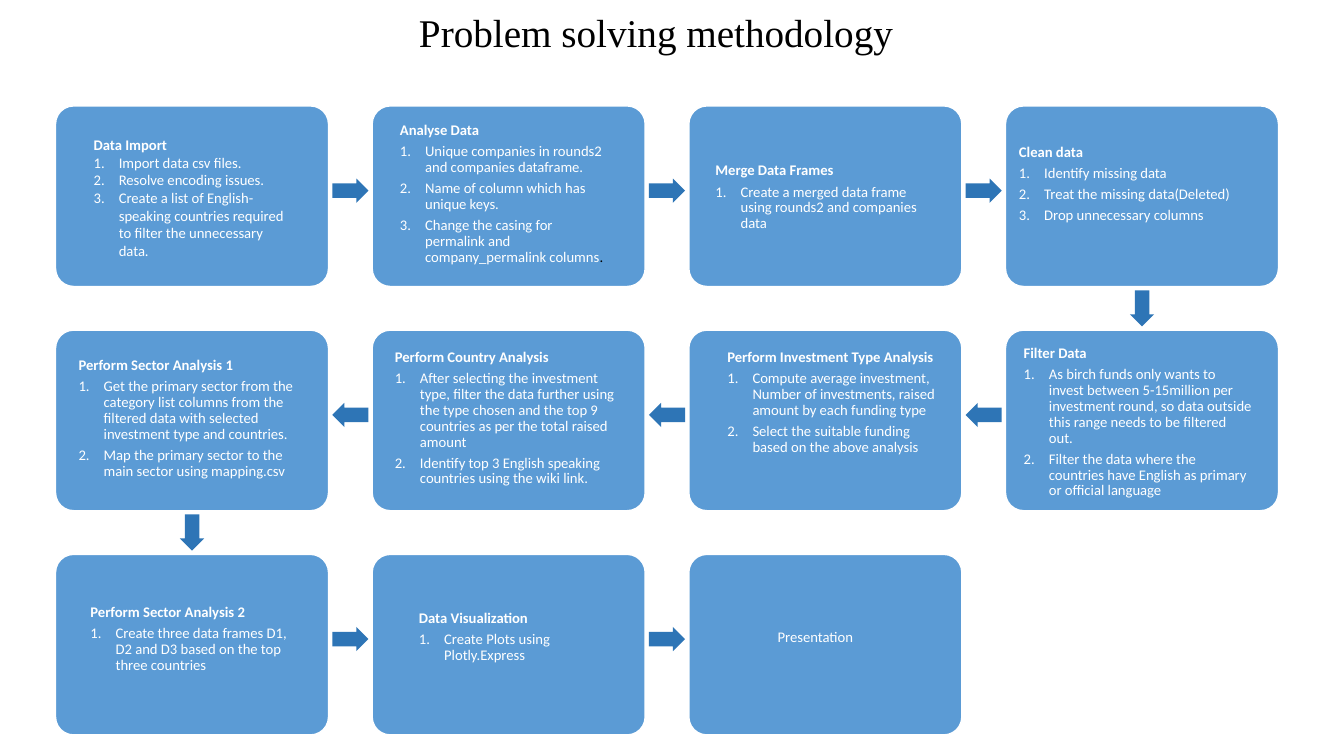
from itertools import pairwise

from lxml.etree import SubElement
from pptx import Presentation
from pptx.dml.color import RGBColor
from pptx.enum.shapes import MSO_SHAPE
from pptx.enum.text import MSO_ANCHOR, MSO_AUTO_SIZE
from pptx.oxml.ns import qn
from pptx.util import Cm, Pt

BLACK = RGBColor(0x00, 0x00, 0x00)
WHITE = RGBColor(0xFF, 0xFF, 0xFF)
STEP_BLUE = RGBColor(0x5B, 0x9B, 0xD5)
ARROW_BLUE = RGBColor(0x2E, 0x75, 0xB6)

# Grid of step boxes, in cm
GRID_LEFT, GRID_TOP = 1.4, 2.67
COLUMN_PITCH, ROW_PITCH = 7.98, 5.65
STEP_WIDTH, STEP_HEIGHT = 6.88, 4.55
ARROW_LENGTH, ARROW_WIDTH = 0.91, 0.61
ARROW_LIFT = 0.14  # horizontal arrows sit slightly above the row centre

# Route through the grid as (column, row)
ROUTE = [(0, 0), (1, 0), (2, 0), (3, 0),
         (3, 1), (2, 1), (1, 1), (0, 1),
         (0, 2), (1, 2), (2, 2)]

# Each step: (left, top, width, height) in cm, heading, numbered points
STEPS = [
    ((2.11, 3.3, 5.61, 3.4), "Data Import", [
        "Import data csv files.",
        "Resolve encoding issues.",
        "Create a list of English-speaking countries required to filter the unnecessary data."]),
    ((9.83, 2.97, 5.77, 4.57), "Analyse Data", [
        "Unique companies in rounds2 and companies dataframe.",
        "Name of column which has unique keys.",
        "Change the casing for permalink and company_permalink columns"]),
    ((17.78, 3.99, 5.77, 2.03), "Merge Data Frames", [
        "Create a merged data frame using rounds2 and companies data"]),
    ((25.43, 3.53, 6.5, 2.9), "Clean data", [
        "Identify missing data",
        "Treat the missing data(Deleted)",
        "Drop unnecessary columns"]),
    ((25.55, 8.59, 6.27, 4.78), "Filter Data", [
        "As birch funds only wants to invest between 5-15million per investment round, "
        "so data outside this range needs to be filtered out.",
        "Filter the data where the countries have English as primary or official language"]),
    ((18.08, 8.69, 5.77, 3.81), "Perform Investment Type Analysis", [
        "Compute average investment, Number of investments, raised amount by each funding type",
        "Select the suitable funding based on the above analysis"]),
    ((9.7, 8.69, 6.07, 3.81), "Perform Country Analysis", [
        "After selecting the investment type, filter the data further using the type chosen "
        "and the top 9 countries as per the total raised amount",
        "Identify top 3 English speaking countries using the wiki link."]),
    ((1.73, 8.89, 6.07, 3.4), "Perform Sector Analysis 1", [
        "Get the primary sector from the category list columns from the filtered data "
        "with selected investment type and countries.",
        "Map the primary sector to the main sector using mapping.csv"]),
    ((2.03, 15.11, 5.77, 2.03), "Perform Sector Analysis 2", [
        "Create three data frames D1, D2 and D3 based on the top three countries"]),
    ((10.31, 15.27, 5.77, 1.63), "Data Visualization", [
        "Create Plots using Plotly.Express"]),
    ((19.35, 15.75, 2.62, 0.66), "Presentation", []),
]


def step_centre(cell):
    column, row = cell
    return (GRID_LEFT + column * COLUMN_PITCH + STEP_WIDTH / 2,
            GRID_TOP + row * ROW_PITCH + STEP_HEIGHT / 2)


class FlowSlide:
    title_font, body_font = "Times New Roman", "Calibri"
    title_size, body_size = Pt(28), Pt(10.5)

    def __init__(self, slide):
        self.slide = slide

    def shape(self, kind, centre, width, height, fill):
        x, y = centre
        shape = self.slide.shapes.add_shape(
            kind, Cm(x - width / 2), Cm(y - height / 2), Cm(width), Cm(height))
        shape.shadow.inherit = False
        shape.fill.solid()
        shape.fill.fore_color.rgb = fill
        return shape

    def step_box(self, cell):
        box = self.shape(MSO_SHAPE.ROUNDED_RECTANGLE, step_centre(cell),
                         STEP_WIDTH, STEP_HEIGHT, STEP_BLUE)
        box.adjustments[0] = 0.1
        box.line.color.rgb = WHITE
        box.line.width = Pt(1)

    def arrow(self, start, end):
        (x1, y1), (x2, y2) = step_centre(start), step_centre(end)
        downward = end[1] > start[1]
        lift = 0 if downward else ARROW_LIFT
        arrow = self.shape(MSO_SHAPE.RIGHT_ARROW, ((x1 + x2) / 2, (y1 + y2) / 2 - lift),
                           ARROW_LENGTH, ARROW_WIDTH, ARROW_BLUE)
        arrow.adjustments[0] = 0.6
        arrow.adjustments[1] = 0.5
        arrow.line.fill.background()
        arrow.rotation = 90 if downward else 180 if x2 < x1 else 0

    def text_frame(self, bounds):
        frame = self.slide.shapes.add_textbox(*map(Cm, bounds)).text_frame
        frame.word_wrap = True
        return frame

    def style(self, run, font, size, colour, bold=False):
        run.font.name, run.font.size, run.font.bold = font, size, bold
        run.font.color.rgb = colour

    def title(self, bounds, text):
        frame = self.text_frame(bounds)
        frame.vertical_anchor = MSO_ANCHOR.MIDDLE
        frame.text = text
        heading = frame.paragraphs[0]
        heading.line_spacing = 0.9
        self.style(heading.runs[0], self.title_font, self.title_size, BLACK)

    def step_text(self, bounds, heading, points, compact):
        frame = self.text_frame(bounds)
        frame.auto_size = MSO_AUTO_SIZE.SHAPE_TO_FIT_TEXT
        frame.text = "\n".join([heading, *points])
        for index, paragraph in enumerate(frame.paragraphs):
            if compact:
                paragraph.line_spacing = 0.9
                paragraph.space_after = Pt(3.7)
            if index:
                self.number(paragraph)
            self.style(paragraph.runs[0], self.body_font, self.body_size, WHITE,
                       bold=index == 0 and bool(points))
        return frame

    def number(self, paragraph):
        properties = paragraph._p.get_or_add_pPr()
        properties.set("marL", str(Cm(0.635)))
        properties.set("indent", str(-Cm(0.635)))
        SubElement(properties, qn("a:buFont"), typeface="+mj-lt")
        SubElement(properties, qn("a:buAutoNum"), type="arabicPeriod")


def main():
    presentation = Presentation()
    presentation.slide_width, presentation.slide_height = Cm(33.87), Cm(19.05)
    flow = FlowSlide(presentation.slides.add_slide(presentation.slide_layouts[6]))

    flow.title((10.31, 0, 13.21, 1.75), "Problem solving methodology")

    # Boxes and the arrows that join them
    for cell in ROUTE:
        flow.step_box(cell)
    for start, end in pairwise(ROUTE):
        flow.arrow(start, end)

    # Step descriptions
    for bounds, heading, points in STEPS:
        frame = flow.step_text(bounds, heading, points, compact=heading != "Data Import")
        if heading == "Analyse Data":
            full_stop = frame.paragraphs[-1].add_run()
            full_stop.text = "."
            flow.style(full_stop, flow.body_font, flow.body_size, BLACK)

    presentation.save("out.pptx")


if __name__ == "__main__":
    main()
